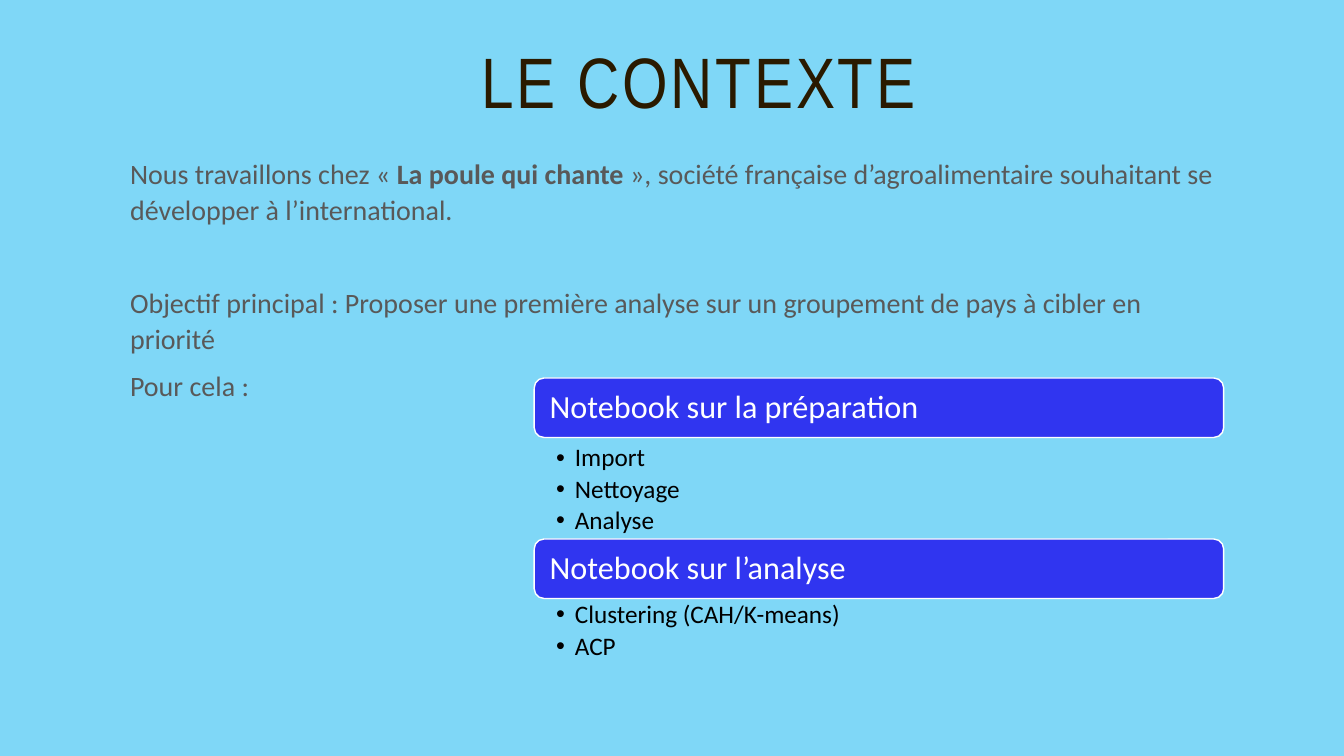
from lxml import etree
from pptx import Presentation
from pptx.dml.color import RGBColor
from pptx.enum.shapes import MSO_SHAPE
from pptx.enum.text import MSO_ANCHOR, MSO_AUTO_SIZE, PP_ALIGN
from pptx.oxml.ns import qn
from pptx.util import Pt

ROUND = MSO_SHAPE.ROUNDED_RECTANGLE
TOP, MIDDLE = MSO_ANCHOR.TOP, MSO_ANCHOR.MIDDLE
FIXED = MSO_AUTO_SIZE.NONE
LEFT, CENTER = PP_ALIGN.LEFT, PP_ALIGN.CENTER

COLORS = {"back": "7FD7F7", "title": "2A1A00", "body": "595959",
          "bar": "3035F0", "white": "FFFFFF", "black": "000000"}

INTRO = [
    (0, ["Nous travaillons chez «\u00a0", "La poule qui chante\u00a0",
         "», société française d’agroalimentaire souhaitant se développer à l’international."]),
    (41, ["Objectif principal : Proposer une première analyse sur un groupement "
          "de pays à cibler en priorité"]),
    (7.5, ["Pour cela :"]),
]
STEPS = [
    (270, 316, 69, "Notebook sur la préparation", ["Import", "Nettoyage", "Analyse"]),
    (385, 428, 47, "Notebook sur l’analyse", ["Clustering (CAH/K-means)", "ACP"]),
]
STEP_X, STEP_W, BAR_H = 381.6, 492.5, 42.5


class Deck:
    """Holds the style and the current slide, and draws each kind of element."""

    def __init__(self, show):
        self.slide = show.slides.add_slide(show.slide_layouts[1])
        fill = self.slide.background.fill
        fill.solid()
        fill.fore_color.rgb = self.color("back")

    def color(self, name):
        return RGBColor.from_string(COLORS[name])

    def place(self, shape, x, y, w, h):
        shape.left, shape.top, shape.width, shape.height = map(Pt, (x, y, w, h))

    def frame(self, shape, anchor, sides=(7.2, 3.6, 7.2, 3.6)):
        frame = shape.text_frame
        frame.word_wrap = True
        frame.auto_size = FIXED
        frame.vertical_anchor = anchor
        (frame.margin_left, frame.margin_top,
         frame.margin_right, frame.margin_bottom) = map(Pt, sides)
        return frame

    def style(self, para, size, color, font="Calibri", align=LEFT, lines=0.9,
              before=0, after=0):
        para.alignment = align
        para.line_spacing = lines
        para.space_before, para.space_after = Pt(before), Pt(after)
        for run in para.runs:
            run.font.size = Pt(size)
            run.font.name = font
            run.font.color.rgb = self.color(color)

    def bullet(self, para, indent, mark=None):
        props = para._p.get_or_add_pPr()
        props.set("marL", str(Pt(indent)))
        props.set("indent", str(Pt(-indent)))
        if mark:
            font = etree.SubElement(props, qn("a:buFont"))
            font.set("typeface", "Arial")
            etree.SubElement(props, qn("a:buChar")).set("char", mark)
        else:
            etree.SubElement(props, qn("a:buNone"))

    def title(self, text, *box):
        shape = self.slide.shapes.title
        self.place(shape, *box)
        frame = self.frame(shape, TOP)
        frame.text = text
        para = frame.paragraphs[0]
        self.style(para, 51, "title", "Arial Narrow", CENTER)
        for run in para.runs:
            run.font._element.set("spc", "200")

    def body(self, items, *box):
        shape = self.slide.placeholders[1]
        self.place(shape, *box)
        frame = self.frame(shape, TOP)
        frame.text = "\n".join(parts[0] for _, parts in items)
        for para, (gap, parts) in zip(frame.paragraphs, items):
            for index, part in enumerate(parts[1:]):
                run = para.add_run()
                run.text = part
                run.font.bold = index == 0
            self.style(para, 20, "body", lines=1.07, before=gap or 7)
            self.bullet(para, 0)

    def bar(self, text, *box):
        shape = self.slide.shapes.add_shape(ROUND, *map(Pt, box))
        shape.shadow.inherit = False
        shape.fill.solid()
        shape.fill.fore_color.rgb = self.color("bar")
        shape.line.color.rgb = self.color("white")
        shape.line.width = Pt(1)
        frame = self.frame(shape, MIDDLE, (9, 7.2, 9, 7.2))
        frame.text = text
        self.style(frame.paragraphs[0], 23, "white")

    def list(self, items, *box):
        shape = self.slide.shapes.add_textbox(*map(Pt, box))
        frame = self.frame(shape, TOP, (15.6, 2, 13, 2))
        frame.text = "\n".join(items)
        for para in frame.paragraphs:
            self.style(para, 18, "black", after=3)
            self.bullet(para, 13.5, "•")


def main():
    show = Presentation()
    show.slide_width, show.slide_height = Pt(960), Pt(540)
    deck = Deck(show)
    deck.title("LE CONTEXTE", 98.6, 30.2, 801.4, 84.2)
    deck.body(INTRO, 85.7, 106.6, 801.4, 383.8)
    for bar_y, list_y, list_h, head, items in STEPS:
        deck.bar(head, STEP_X, bar_y, STEP_W, BAR_H)
        deck.list(items, STEP_X, list_y, STEP_W, list_h)
    show.save("out.pptx")


if __name__ == "__main__":
    main()
